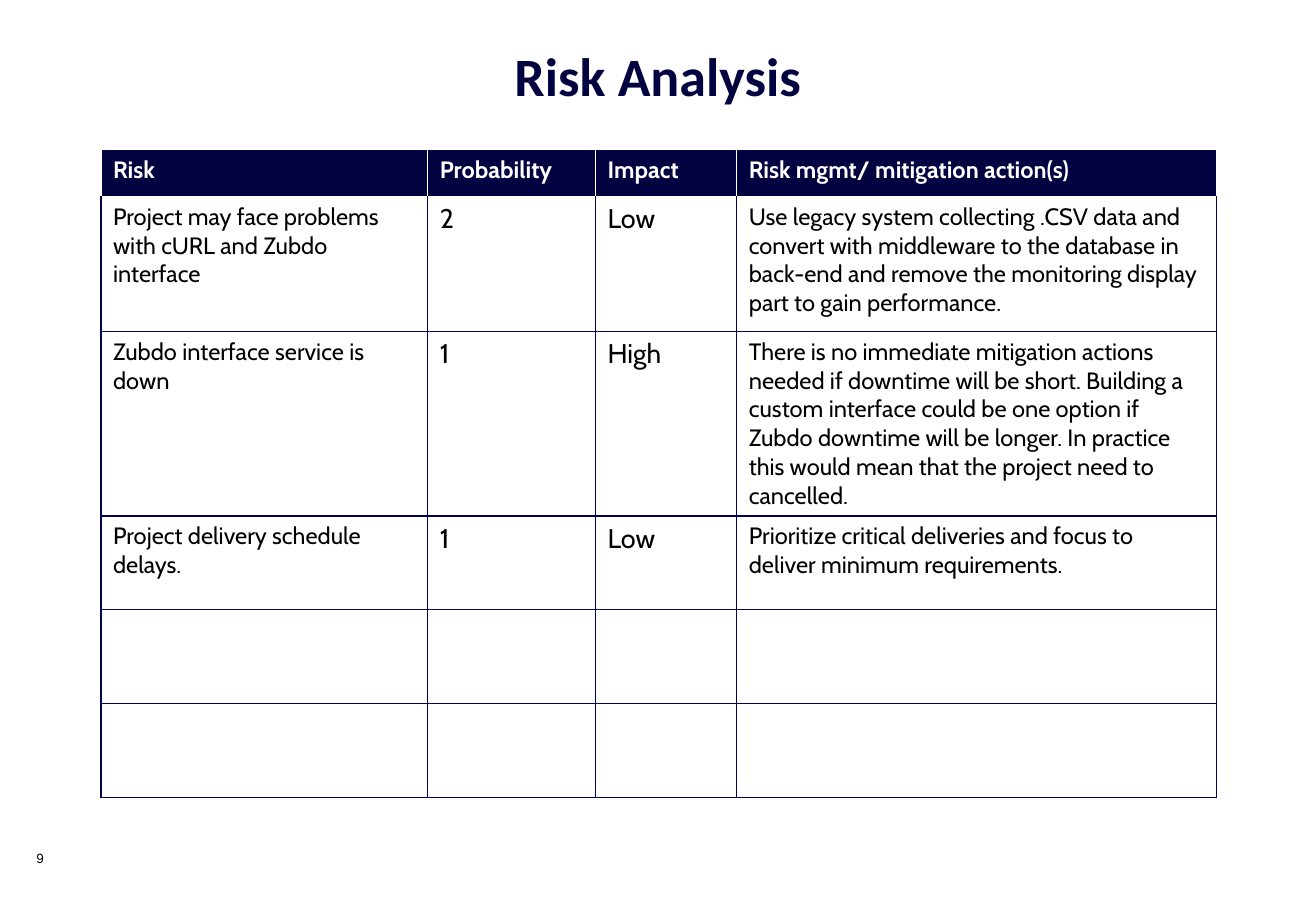
from pptx import Presentation
from pptx.dml.color import RGBColor as Color
from pptx.enum.text import MSO_ANCHOR as Anchor, PP_ALIGN as Align
from pptx.oxml.ns import qn
from pptx.util import Cm, Pt
from lxml.etree import SubElement

COLORS = {"navy": "020240", "rule": "030356", "white": "FFFFFF", "black": "000000"}
COLUMN_WIDTHS = [6.83, 3.51, 2.95, 10.03]
ROW_HEIGHTS = [0.99, 2.82, 3.84, 1.96, 1.96, 1.96]
COLUMN_SIZES = [14, 16, 16, 14]
HEADINGS = ["Risk", "Probability", "Impact", "Risk mgmt/ mitigation action(s)"]
RISKS = [
    ["Project may face problems with cURL and Zubdo interface", "2", "Low",
     "Use legacy system collecting .CSV data and convert with middleware to the "
     "database in back-end and remove the monitoring display part to gain performance."],
    ["Zubdo interface service is down", "1", "High",
     "There is no immediate mitigation actions needed if downtime will be short. "
     "Building a custom interface could be one option if Zubdo downtime will be longer. "
     "In practice this would mean that the project need to cancelled."],
    ["Project delivery schedule delays.", "1", "Low",
     "Prioritize critical deliveries and focus to deliver minimum requirements."],
    [""] * 4,
    [""] * 4,
]


def write(frame, text, font="Cabin", size=14, color="black", bold=False, align=Align.LEFT):
    """Put formatted text into the first paragraph of a frame."""
    para = frame.paragraphs[0]
    para.alignment = align
    if not text:
        return
    span = para.add_run()
    span.text = text
    span.font.name = font
    span.font.size = Pt(size)
    span.font.bold = bold
    span.font.color.rgb = Color.from_string(COLORS[color])


def draw_border(cell, side, color, width=1):
    """Draw one side (L, R, T or B) of a table cell."""
    line = SubElement(cell._tc.get_or_add_tcPr(), qn(f"a:ln{side}"), w=str(Pt(width)))
    fill = SubElement(line, qn("a:solidFill"))
    SubElement(fill, qn("a:srgbClr"), val=COLORS[color])


class SlideBuilder:
    """Hold the text style and the current slide."""

    def __init__(self, page, font="Cabin"):
        """Remember the page and its main font."""
        self.page = page
        self.font = font

    def text(self, text, left, top, width, height, anchor=Anchor.TOP, **style):
        """Add a wrapping text box."""
        box = self.page.shapes.add_textbox(Cm(left), Cm(top), Cm(width), Cm(height))
        box.text_frame.word_wrap = True
        box.text_frame.vertical_anchor = anchor
        write(box.text_frame, text, **style)

    def table(self, rows, left, top, widths, heights, sizes):
        """Add a table whose first row is the heading."""
        table = self.page.shapes.add_table(
            len(rows), len(widths), Cm(left), Cm(top), Cm(sum(widths)), Cm(sum(heights))).table
        table.first_row = table.horz_banding = False
        for column, width in zip(table.columns, widths):
            column.width = Cm(width)
        for number, (row, height, texts) in enumerate(zip(table.rows, heights, rows)):
            row.height = Cm(height)
            for cell, text, size in zip(row.cells, texts, sizes):
                self.cell(cell, text, size, number)

    def cell(self, cell, text, size, number):
        """Fill one cell, styled by its row number."""
        heading = number == 0
        for side in "LRTB":
            white = heading or (number == 1 and side == "T")
            draw_border(cell, side, "white" if white else "rule")
        if heading:
            cell.fill.solid()
            cell.fill.fore_color.rgb = Color.from_string(COLORS["navy"])
            write(cell.text_frame, text, font=self.font, color="white", bold=True)
        else:
            cell.fill.background()
            write(cell.text_frame, text, font=self.font, size=size)


def main():
    """Build the risk analysis slide and save it."""
    deck = Presentation()
    deck.slide_width, deck.slide_height = Cm(27.51), Cm(19.05)
    builder = SlideBuilder(deck.slides.add_slide(deck.slide_layouts[6]))
    builder.table([HEADINGS, *RISKS], 2.11, 3.12, COLUMN_WIDTHS, ROW_HEIGHTS, COLUMN_SIZES)
    builder.text("9", 0.51, 17.65, 1.35, 1.02, font="Arial", size=8)
    builder.text("Risk Analysis", 0.51, 0, 26.49, 3.12, anchor=Anchor.MIDDLE,
                 font="Calibri", size=32, color="navy", bold=True, align=Align.CENTER)
    deck.save("out.pptx")


main()
